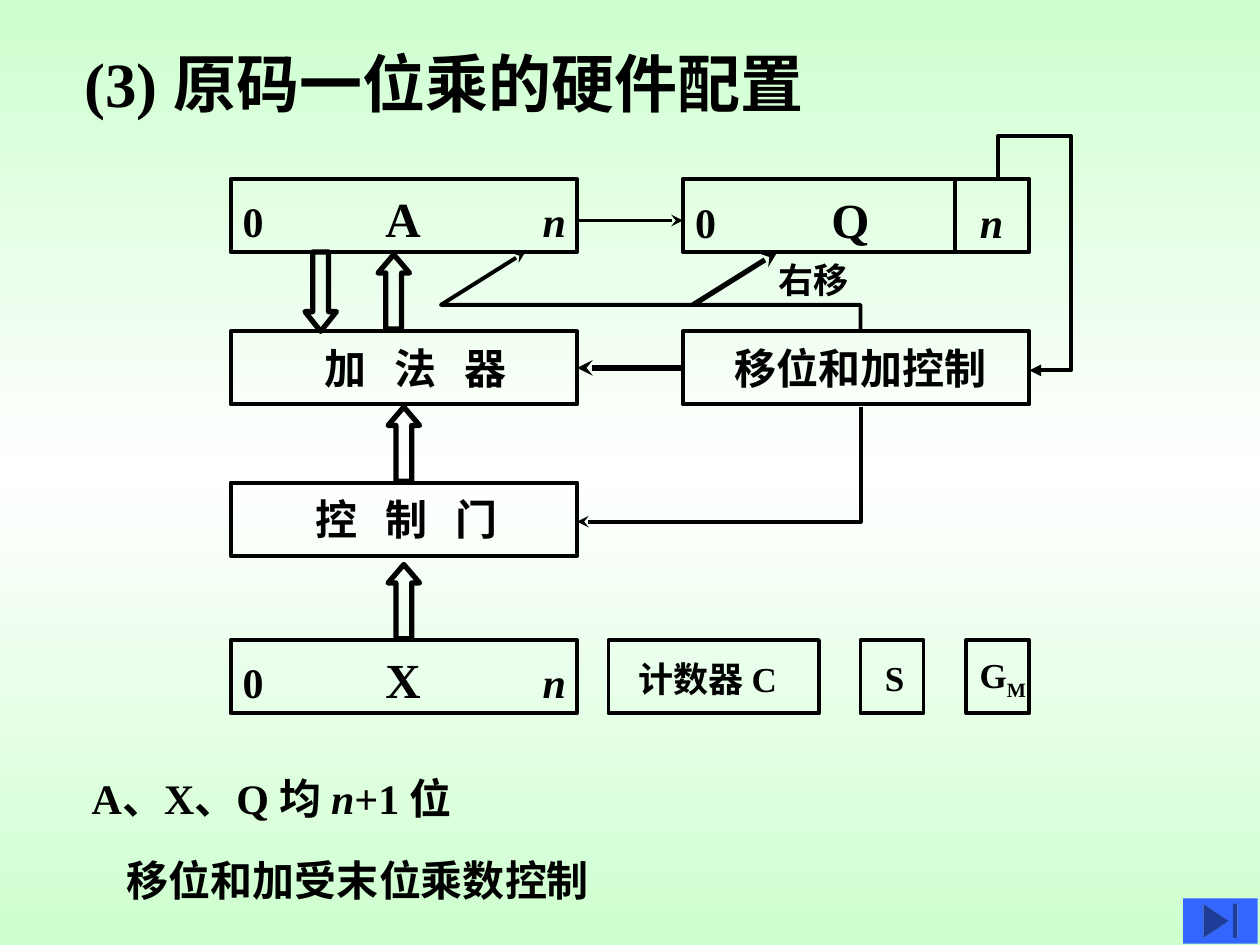
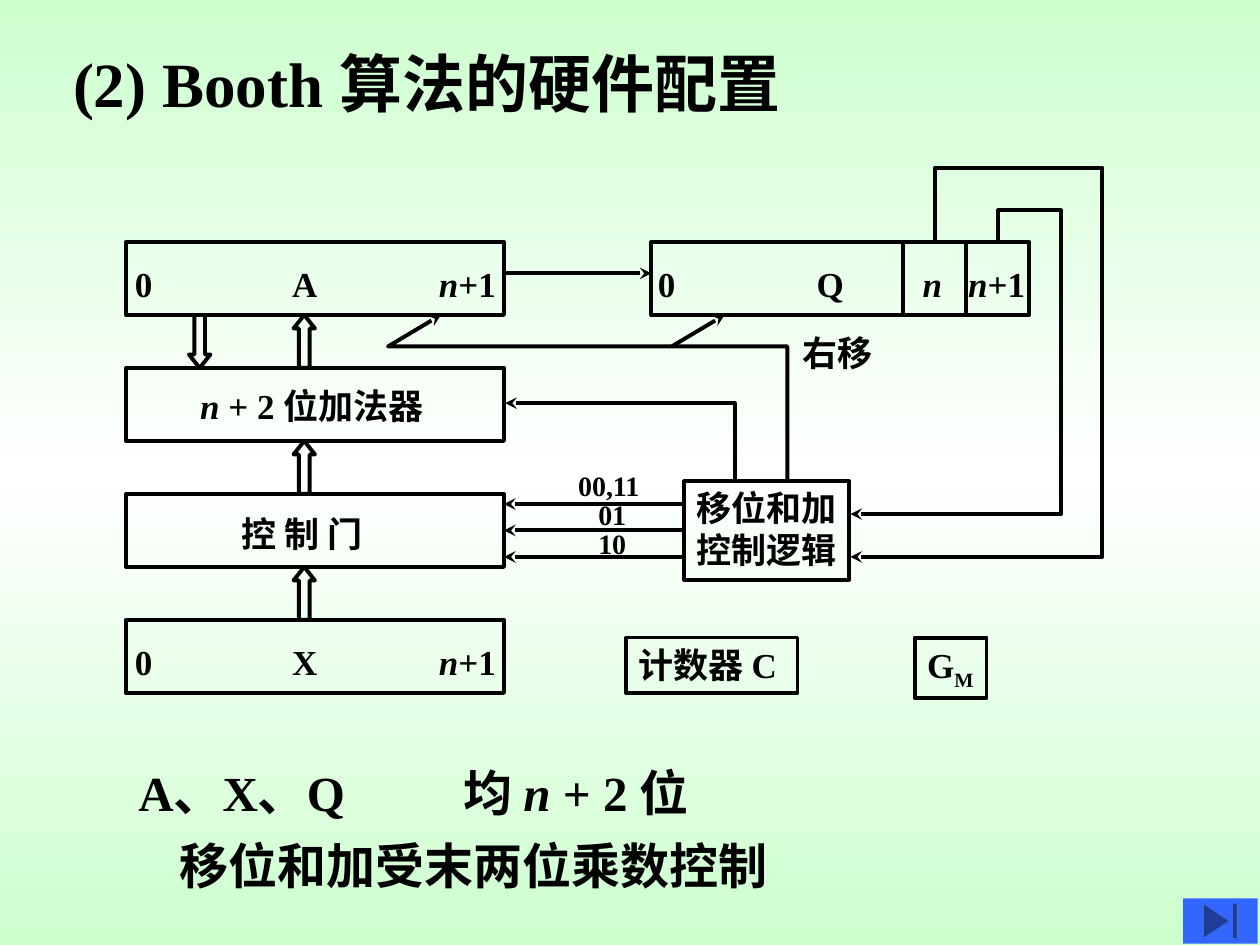
from copy import deepcopy
from dataclasses import dataclass

from lxml.etree import SubElement
from pptx import Presentation
from pptx.dml.color import RGBColor
from pptx.enum.shapes import MSO_CONNECTOR, MSO_SHAPE
from pptx.enum.text import MSO_ANCHOR, MSO_AUTO_SIZE, PP_ALIGN
from pptx.oxml.ns import qn
from pptx.util import Inches, Pt


@dataclass(frozen=True)
class Theme:
    font: str = "Times New Roman"
    ink: RGBColor = RGBColor(0, 0, 0)
    edge: RGBColor = RGBColor(0xCD, 0xFF, 0xCE)
    middle: RGBColor = RGBColor(0xFF, 0xFF, 0xFF)
    button: RGBColor = RGBColor(0x33, 0x66, 0xFF)
    title: int = 36
    large: int = 28
    medium: int = 24
    small: int = 20
    tiny: int = 16
    stroke: float = 2.25
    heavy: float = 3


THEME = Theme()


def write(tf, text, size, align=PP_ALIGN.LEFT, spacing=0):
    for n, line in enumerate(text.split("\n")):
        p = tf.add_paragraph() if n else tf.paragraphs[0]
        p.alignment = align
        for i, part in enumerate(line.split("*")):
            base, _, sub = part.partition("_")
            for piece, offset in ((base, 0), (sub, -25000)):
                if not piece:
                    continue
                r = p.add_run()
                r.text = piece
                r.font.name = THEME.font
                r.font.size = Pt(size)
                r.font.bold = True
                r.font.italic = i % 2 == 1
                r.font.color.rgb = THEME.ink
                rPr = r.font._element
                if offset:
                    rPr.set("baseline", str(offset))
                if spacing:
                    rPr.set("spc", str(spacing))


def outline(sp, width, arrow=None):
    sp.line.color.rgb = THEME.ink
    sp.line.width = Pt(width)
    if arrow:
        SubElement(sp.element.spPr.find(qn("a:ln")), qn("a:tailEnd"), type=arrow)


class Region:
    def __init__(self, s, left, top):
        self.s, self.left, self.top = s, left, top

    def point(self, x, y):
        return Inches(self.left + x), Inches(self.top + y)

    def shape(self, kind, x, y, w, h, width=THEME.stroke):
        sp = self.s.shapes.add_shape(kind, *self.point(x, y), Inches(w), Inches(h))
        sp.shadow.inherit = False
        sp.fill.background()
        outline(sp, width)
        return sp

    def rect(self, x, y, w, h):
        return self.shape(MSO_SHAPE.RECTANGLE, x, y, w, h)

    def block_arrow(self, x, y, w, h, width, head, down=False):
        kind = MSO_SHAPE.DOWN_ARROW if down else MSO_SHAPE.UP_ARROW
        sp = self.shape(kind, x, y, w, h, width)
        sp.adjustments[0] = 0.5
        sp.adjustments[1] = head

    def line(self, start, end, arrow="stealth", width=THEME.stroke):
        c = self.s.shapes.add_connector(
            MSO_CONNECTOR.STRAIGHT, *self.point(*start), *self.point(*end))
        outline(c, width, arrow)
        SubElement(c.element.spPr, qn("a:effectLst"))
        return c

    def route(self, *points, arrow="stealth"):
        start, *rest = [self.point(*xy) for xy in points]
        builder = self.s.shapes.build_freeform(*start)
        builder.add_line_segments(rest, close=False)
        sp = builder.convert_to_shape()
        sp.shadow.inherit = False
        sp.fill.background()
        outline(sp, THEME.stroke, arrow)

    def text(self, x, y, w, text, size):
        h = round(0.1 + size / 60, 2)
        tb = self.s.shapes.add_textbox(*self.point(x, y), Inches(w), Inches(h))
        tb.text_frame.word_wrap = True
        write(tb.text_frame, text, size)

    def label(self, box, offset, text, size, baseline=None, spacing=0):
        w = 2.6
        rise = 0.3375 * size / 72
        drop = 0 if baseline is None else baseline - rise
        tb = self.s.shapes.add_textbox(
            box.left + Inches(offset - w / 2), box.top + Inches(drop), Inches(w), box.height)
        tf = tb.text_frame
        tf.word_wrap = True
        tf.vertical_anchor = MSO_ANCHOR.MIDDLE
        tf.margin_left = tf.margin_right = tf.margin_top = tf.margin_bottom = 0
        write(tf, text, size, PP_ALIGN.CENTER, spacing)

    def fields(self, box, labels, offsets, sizes, baseline):
        for text, offset, size in zip(labels, offsets, sizes):
            self.label(box, offset, text, size, baseline)


def set_background(master):
    fill = master.background.fill
    fill.gradient()
    fill.gradient_angle = 90
    stops = master.element.find(".//" + qn("a:gsLst"))
    stops.insert(1, deepcopy(stops[0]))
    colors = (THEME.edge, THEME.middle, THEME.edge)
    for stop, color, position in zip(fill.gradient_stops, colors, (0, 0.5, 1)):
        stop.color.rgb = color
        stop.position = position


def add_slide(prs, title, left, width):
    s = prs.slides.add_slide(prs.slide_layouts[5])
    sp = s.shapes.title
    sp.left, sp.top, sp.width, sp.height = map(Inches, (left, 0.3, width, 0.7))
    tf = sp.text_frame
    tf.auto_size = MSO_AUTO_SIZE.NONE
    tf.vertical_anchor = MSO_ANCHOR.TOP
    tf.word_wrap = True
    write(tf, title, THEME.title)
    button = s.shapes.add_shape(
        MSO_SHAPE.ACTION_BUTTON_END, *map(Inches, (9.39, 7.13, 0.59, 0.36)))
    button.shadow.inherit = False
    button.fill.solid()
    button.fill.fore_color.rgb = THEME.button
    button.line.fill.background()
    return s


def sign_magnitude_diagram(s, left, top):
    d = Region(s, left, top)
    w, h = 2.75, 0.58
    a, adder, gate, x = [d.rect(0, y, w, h) for y in (0.34, 1.55, 2.75, 4)]
    q, control = [d.rect(3.59, y, w, h) for y in (0.34, 1.55)]
    sizes = (THEME.medium, THEME.large, THEME.medium)
    for box, name in ((a, "A"), (x, "X")):
        d.fields(box, ("0", name, "*n*"), (0.18, 1.37, 2.57), sizes, 0.15)
    d.fields(q, ("0", "Q", "*n*"), (0.18, 1.33, 2.45), sizes, 0.16)
    d.label(adder, 1.47, "加 法 器", THEME.medium, spacing=530)
    d.label(gate, 1.4, "控 制 门", THEME.medium, spacing=530)
    d.label(control, 1.41, "移位和加控制", THEME.medium)

    d.rect(3, 4, 1.67, h)
    d.text(3.14, 4.09, 1.5, "计数器 C", THEME.small)
    for left_edge, name, offset in ((5, "S", 0.27), (5.84, "G_M", 0.29)):
        d.label(d.rect(left_edge, 4, 0.5, h), offset, name, THEME.small, 0.1)

    d.block_arrow(0.59, 0.92, 0.25, 0.63, THEME.heavy, 0.625, down=True)
    for ax, ay in ((1.17, 0.94), (1.25, 2.15), (1.25, 3.4)):
        d.block_arrow(ax, ay, 0.25, 0.59, THEME.heavy, 0.587)

    d.line((5.75, 0.34), (5.75, 0.92), None)
    d.line((w, 0.67), (3.59, 0.67))
    d.line((3.67, 1.34), (4.34, 0.92), width=THEME.heavy)
    add_signal = d.line((3.59, 1.84), (w, 1.84), width=THEME.heavy)
    add_signal.begin_connect(control, 1)
    add_signal.end_connect(adder, 3)
    d.route((5, 1.55), (5, 1.34), (1.67, 1.34), (2.34, 0.92))
    d.route((6.09, 0.34), (6.09, 0), (6.67, 0), (6.67, 1.86), (6.34, 1.86), arrow="triangle")
    d.route((5, 2.15), (5, 3.06), (w, 3.06))
    d.text(4.25, 0.92, 1.17, "右移", THEME.small)


def booth_diagram(s, left, top):
    d = Region(s, left, top)
    w, h = 3, 0.58
    a, adder, gate, x = [d.rect(0, 0.59 + row, w, h) for row in range(4)]
    q = d.rect(4.17, 0.59, w, h)
    sizes = (THEME.small,) * 4
    for box, name in ((a, "A"), (x, "X")):
        d.fields(box, ("0", name, "*n*+1"), (0.14, 1.42, 2.71), sizes, 0.13)
    d.fields(q, ("0", "Q", "*n*", "*n*+1"), (0.12, 1.42, 2.23, 2.74), sizes, 0.13)
    d.text(0.49, 1.67, 2.3, "*n* + 2 位加法器", THEME.small)
    d.text(0.82, 2.69, 1.4, "控 制 门", THEME.small)

    logic = d.rect(4.43, 2.49, 1.31, 0.78)
    d.text(4.43, 2.48, 1.5, "移位和加\n控制逻辑", THEME.small)
    d.rect(3.97, 3.73, 1.36, 0.44)
    d.text(3.97, 3.73, 1.5, "计数器 C", THEME.small)
    d.rect(6.26, 3.73, 0.57, 0.48)
    d.text(6.26, 3.73, 0.8, "G_M", THEME.small)

    d.block_arrow(0.5, 1.17, 0.17, 0.42, THEME.stroke, 0.625, down=True)
    for row in range(3):
        d.block_arrow(1.33, 1.17 + row, 0.17, 0.42, THEME.stroke, 0.625)

    for divider in (6.17, 6.67):
        d.line((divider, 0.59), (divider, 1.17), None)
    d.line((w, 0.84), (4.17, 0.84))
    d.line((4.33, 1.42), (4.75, 1.17))
    for row, (code, cx) in enumerate((("00,11", 3.49), ("01", 3.65), ("10", 3.65))):
        y = 2.67 + 0.21 * row
        signal = d.line((4.43, y), (w, y))
        if row == 1:
            signal.begin_connect(logic, 1)
            signal.end_connect(gate, 3)
        d.text(cx, 2.34 + 0.23 * row, 0.8, code, THEME.tiny)
    d.route((5.25, 2.47), (5.25, 1.42), (2.08, 1.42), (2.5, 1.17))
    d.route((4.83, 2.48), (4.83, 1.87), (3.01, 1.87))
    for start, y, right, end in ((6.92, 0.34, 7.42, 2.75), (6.42, 0, 7.75, 3.09)):
        d.route((start, 0.59), (start, y), (right, y), (right, end), (5.75, end))
    d.text(5.27, 1.25, 1.08, "右移", THEME.small)


def notes_block(s, left, top, size, lines):
    block = Region(s, left, top)
    for x, y, text in lines:
        block.text(x, y, 5.5, text, size)


def main():
    prs = Presentation()
    prs.slide_width, prs.slide_height = Inches(10), Inches(7.5)
    set_background(prs.slide_master)

    s = add_slide(prs, "(3) 原码一位乘的硬件配置", 0.57, 6.77)
    sign_magnitude_diagram(s, 1.83, 1.08)
    notes_block(s, 0.63, 6.08, THEME.medium, (
        (0, 0, "A、X、Q 均 *n*+1 位"),
        (0.28, 0.65, "移位和加受末位乘数控制")))

    s = add_slide(prs, "(2) Booth 算法的硬件配置", 0.48, 7.1)
    booth_diagram(s, 1, 1.33)
    notes_block(s, 1, 6, THEME.large, (
        (0, 0, "A、X、Q"),
        (2.58, 0, "均 *n* + 2 位"),
        (0.33, 0.58, "移位和加受末两位乘数控制")))

    prs.save("out.pptx")


if __name__ == "__main__":
    main()
